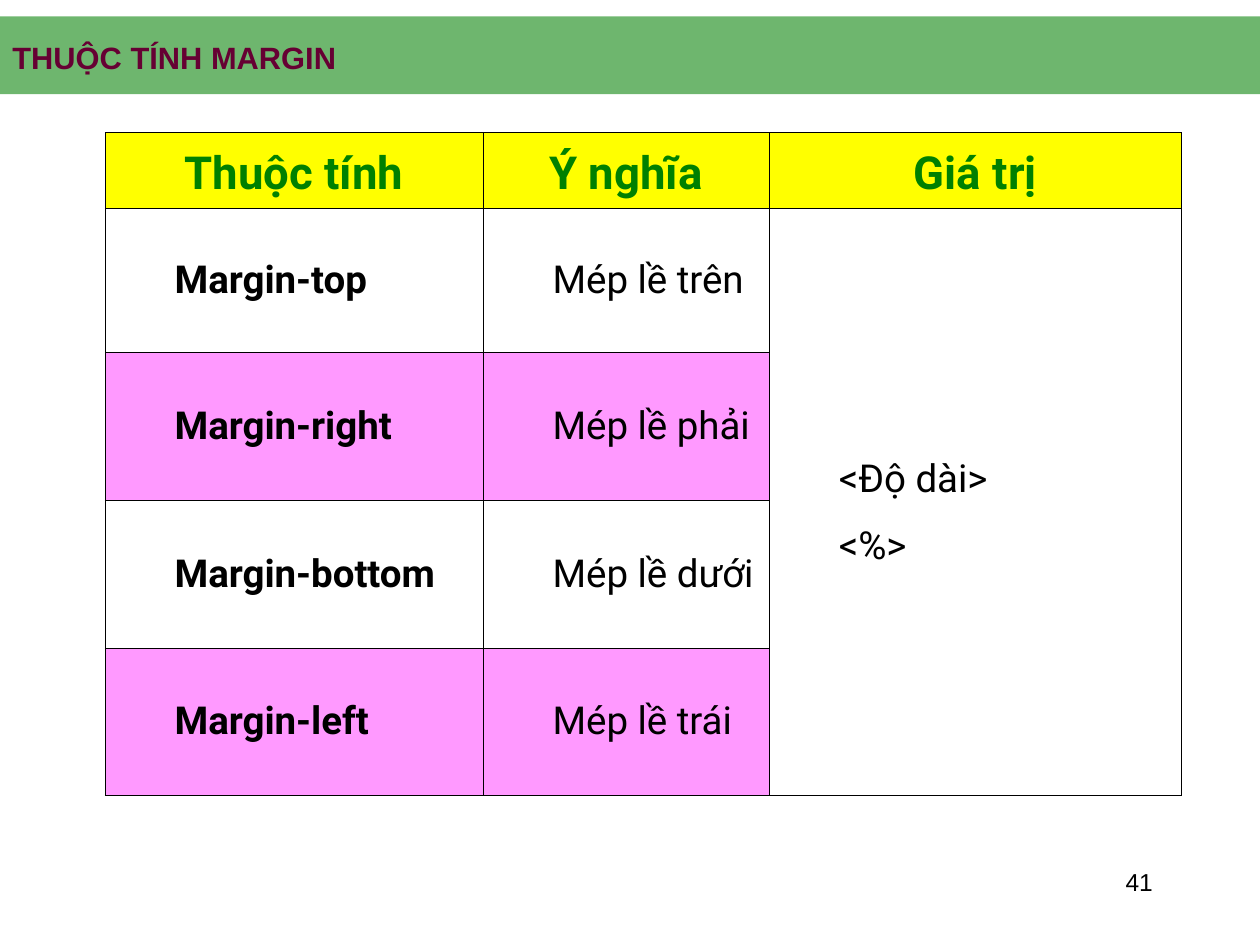
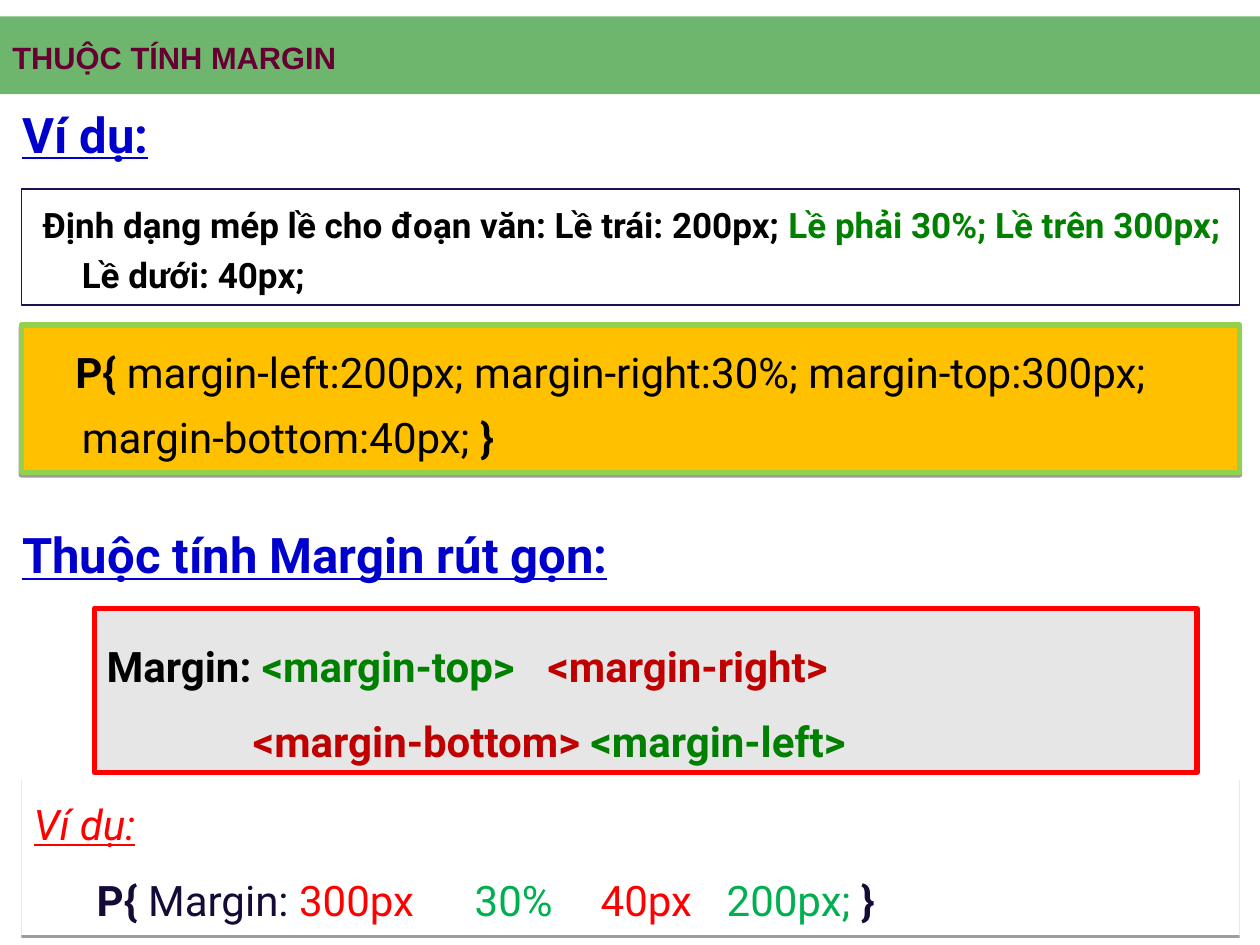
"""Build two slides on the CSS margin property."""
from lxml import etree
from pptx import Presentation
from pptx import util as u
from pptx.dml import color
from pptx.enum import shapes, text
from pptx.oxml import ns

HUES = {
    "black": "000000", "white": "FFFFFF", "green": "008000", "plum": "660033",
    "yellow": "FFFF00", "pink": "FF99FF", "navy": "201053", "ink": "160B37",
    "amber": "FFC000", "lime": "92D050", "blue": "0000CC", "gray": "E6E6E6",
    "red": "FF0000", "brick": "C00000", "leaf": "00B050",
}
LEFT, MID, RIGHT = text.PP_ALIGN.LEFT, text.PP_ALIGN.CENTER, text.PP_ALIGN.RIGHT
TOP, CORE = text.MSO_ANCHOR.TOP, text.MSO_ANCHOR.MIDDLE


def hue(name):
    """Return a named colour."""
    return color.RGBColor.from_string(HUES[name])


def node(root, tag, **attrs):
    """Append a drawing element with its attributes."""
    return etree.SubElement(root, ns.qn("a:" + tag), {k: str(v) for k, v in attrs.items()})


class Deck:
    """Hold the style and the current slide."""

    def __init__(self):
        """Open an empty deck."""
        self.file = Presentation()
        self.file.slide_width, self.file.slide_height = u.Cm(25.4), u.Cm(19.05)
        self.slide = None

    def page(self, title):
        """Start a slide with its title band."""
        self.slide = self.file.slides.add_slide(self.file.slide_layouts[6])
        band = self.box(0, 0.33, 25.4, 1.57, "green")
        tint = next(band.fill._xPr.iter(ns.qn("a:srgbClr")))
        node(tint, "alpha", val=57000)
        frame = self.label(0, 0.61, 25.4, 1.07, CORE)
        self.para(frame, [(title, "plum", "b")], 17.6, font="Arial")

    def para(self, frame, runs, size, font="Roboto", align=LEFT, gap=None,
             before=0, left=0, first=0, tabs=()):
        """Write one paragraph run by run."""
        para = frame.paragraphs[0]
        if para.runs:
            para = frame.add_paragraph()
        props = para._p.get_or_add_pPr()
        props.set("marL", str(u.Cm(left)))
        props.set("indent", str(u.Cm(first)))
        if tabs:
            stops = node(props, "tabLst")
            for stop in tabs:
                node(stops, "tab", pos=u.Cm(stop), algn="l")
        para.alignment = align
        if gap:
            para.line_spacing = gap
        if before:
            para.space_before = u.Pt(before)
        for words, tone, marks in runs:
            run = para.add_run()
            run.text = words
            face = run.font
            face.name, face.size = font, u.Pt(size)
            face.color.rgb = hue(tone)
            face.bold, face.italic = "b" in marks, "i" in marks
            face.underline = "u" in marks

    def label(self, x, y, w, h, anchor=TOP):
        """Add a text box and return its frame."""
        frame = self.slide.shapes.add_textbox(*map(u.Cm, (x, y, w, h))).text_frame
        frame.word_wrap, frame.vertical_anchor = True, anchor
        return frame

    def box(self, x, y, w, h, fill=None, edge=None, width=0.75, shade=False):
        """Add a rectangle."""
        rect = self.slide.shapes.add_shape(
            shapes.MSO_SHAPE.RECTANGLE, *map(u.Cm, (x, y, w, h)))
        rect.shadow.inherit = False
        if fill:
            rect.fill.solid()
            rect.fill.fore_color.rgb = hue(fill)
        else:
            rect.fill.background()
        if edge:
            rect.line.color.rgb = hue(edge)
            rect.line.width = u.Pt(width)
        else:
            rect.line.fill.background()
        if shade:
            effect = rect._element.spPr.find(ns.qn("a:effectLst"))
            cast = node(effect, "outerShdw", blurRad=0, dist=u.Pt(1.6),
                        dir=5400000, rotWithShape=0)
            node(node(cast, "srgbClr", val=HUES["black"]), "alpha", val=38000)
        rect.text_frame.word_wrap = True
        rect.text_frame.vertical_anchor = TOP
        return rect

    def head(self, y, words):
        """Add an underlined heading."""
        self.para(self.label(0.2, y, 24.97, 1.7), [(words, "blue", "bu")], 28, gap=0.9)

    def number(self, words):
        """Add the slide number."""
        frame = self.label(18.21, 17.35, 5.28, 1.27)
        self.para(frame, [(words, "black", "")], 14, font="Arial", align=RIGHT)

    def table(self, x, y, cols, rows):
        """Add a table and return it."""
        grid = self.slide.shapes.add_table(
            len(rows), len(cols), *map(u.Cm, (x, y, sum(cols), sum(rows)))).table
        grid.first_row = grid.horz_banding = False
        for col, width in zip(grid.columns, cols):
            col.width = u.Cm(width)
        for row, height in zip(grid.rows, rows):
            row.height = u.Cm(height)
        return grid

    def cell(self, cell, fill=None, side=0.13):
        """Set the margins, borders and fill of a cell."""
        cell.vertical_anchor = CORE
        cell.margin_left = cell.margin_right = u.Cm(side)
        cell.margin_top = cell.margin_bottom = u.Cm(0.13)
        props = cell._tc.get_or_add_tcPr()
        for edge in ("lnL", "lnR", "lnT", "lnB"):
            line = node(props, edge, w=u.Pt(0.45))
            node(node(line, "solidFill"), "srgbClr", val=HUES["black"])
        if fill:
            cell.fill.solid()
            cell.fill.fore_color.rgb = hue(fill)
        else:
            cell.fill.background()


def traits(deck):
    """Draw the table of margin properties."""
    deck.page("THUỘC TÍNH MARGIN")
    deck.number("41")
    grid = deck.table(2.12, 2.67, (7.62, 5.77, 8.31), (1.49, 2.9, 3, 2.98, 2.95))
    for col, words in enumerate(("Thuộc tính", "Ý nghĩa", "Giá trị")):
        cell = grid.cell(0, col)
        deck.cell(cell, "yellow", 0.2)
        deck.para(cell.text_frame, [(words, "green", "b")], 26, align=MID, gap=1.15)
    sides = (("top", "trên"), ("right", "phải"), ("bottom", "dưới"), ("left", "trái"))
    for row, (side, sense) in enumerate(sides, 1):
        pair = (("Margin-" + side, "b"), ("Mép lề " + sense, ""))
        for col, (words, marks) in enumerate(pair):
            cell = grid.cell(row, col)
            deck.cell(cell, None if row % 2 else "pink")
            deck.para(cell.text_frame, [(words, "black", marks)], 22, left=1.27)
        deck.cell(grid.cell(row, 2))
    value = grid.cell(1, 2)
    value.merge(grid.cell(4, 2))
    for words in ("<Độ dài>", "<%>"):
        deck.para(value.text_frame, [(words, "black", "")], 22, left=1.27, gap=1.5)


def sample(deck):
    """Draw the long and short forms of the rule."""
    deck.page("THUỘC TÍNH MARGIN")
    task = deck.box(0.43, 3.81, 24.56, 2.34, edge="navy")
    deck.para(task.text_frame, [
        ("Định dạng mép lề cho đoạn văn: Lề trái: 200px; ", "black", "b"),
        ("Lề phải 30%; Lề trên 300px; ", "green", "b"),
        ("Lề dưới: 40px;", "black", "b"),
    ], 20, gap=1.2, left=0.97, first=-0.79)
    rule = deck.box(0.43, 6.55, 24.56, 2.97, "amber", "lime", 3, True)
    deck.para(rule.text_frame, [
        ("P{ ", "black", "b"),
        ("margin-left:200px; margin-right:30%; margin-top:300px; margin-bottom:40px; ",
         "black", ""),
        ("}", "black", "b"),
    ], 24, gap=1.3, left=0.97, first=-0.13)
    deck.head(2.11, "Ví dụ:")
    deck.head(10.59, "Thuộc tính Margin rút gọn:")

    form = deck.box(1.9, 12.27, 22.23, 3.3, "gray", "red", 3).text_frame
    deck.para(form, [
        ("Margin: ", "black", "b"),
        ("<margin-top>\t", "green", "b"),
        ("<margin-right>", "brick", "b"),
    ], 24, gap=1.5, tabs=(8.64,))
    deck.para(form, [
        ("<margin-bottom> ", "brick", "b"),
        ("<margin-left>", "green", "b"),
    ], 24, gap=1.5, left=2.95)

    short = deck.box(0.43, 15.67, 24.56, 3.18, "white", shade=True).text_frame
    deck.para(short, [("Ví dụ:", "red", "iu")], 24, gap=1.3)
    deck.para(short, [
        ("\tP{ ", "ink", "b"),
        ("Margin: ", "ink", ""),
        ("300px\t", "red", ""),
        ("30%\t", "leaf", ""),
        ("40px\t", "red", ""),
        ("200px; ", "leaf", ""),
        ("}", "ink", "b"),
    ], 24, gap=1.3, before=6, tabs=(3.48, 10.3, 12.29, 14.55))


def main():
    """Build and save the deck."""
    deck = Deck()
    traits(deck)
    sample(deck)
    deck.file.save("out.pptx")


if __name__ == "__main__":
    main()
